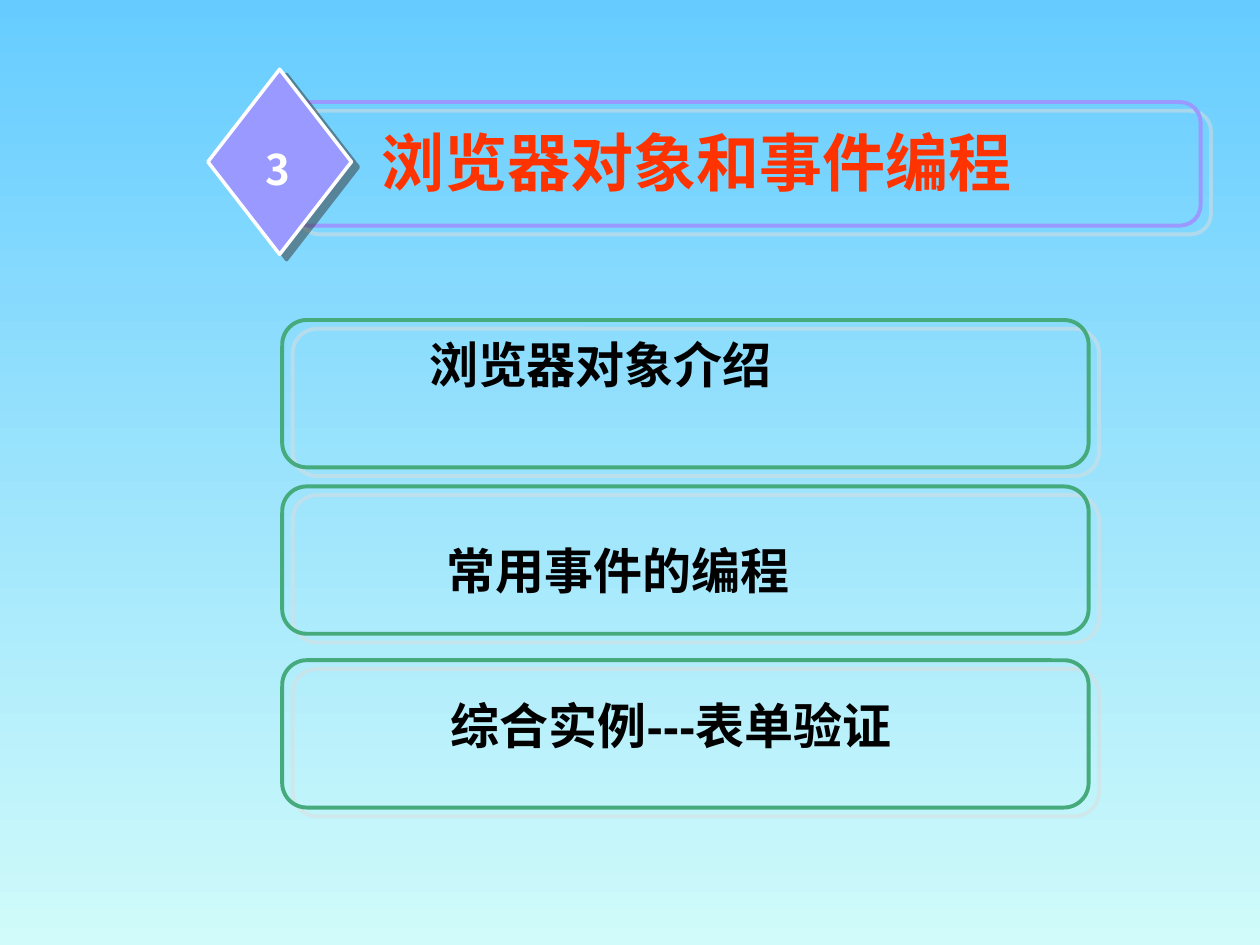
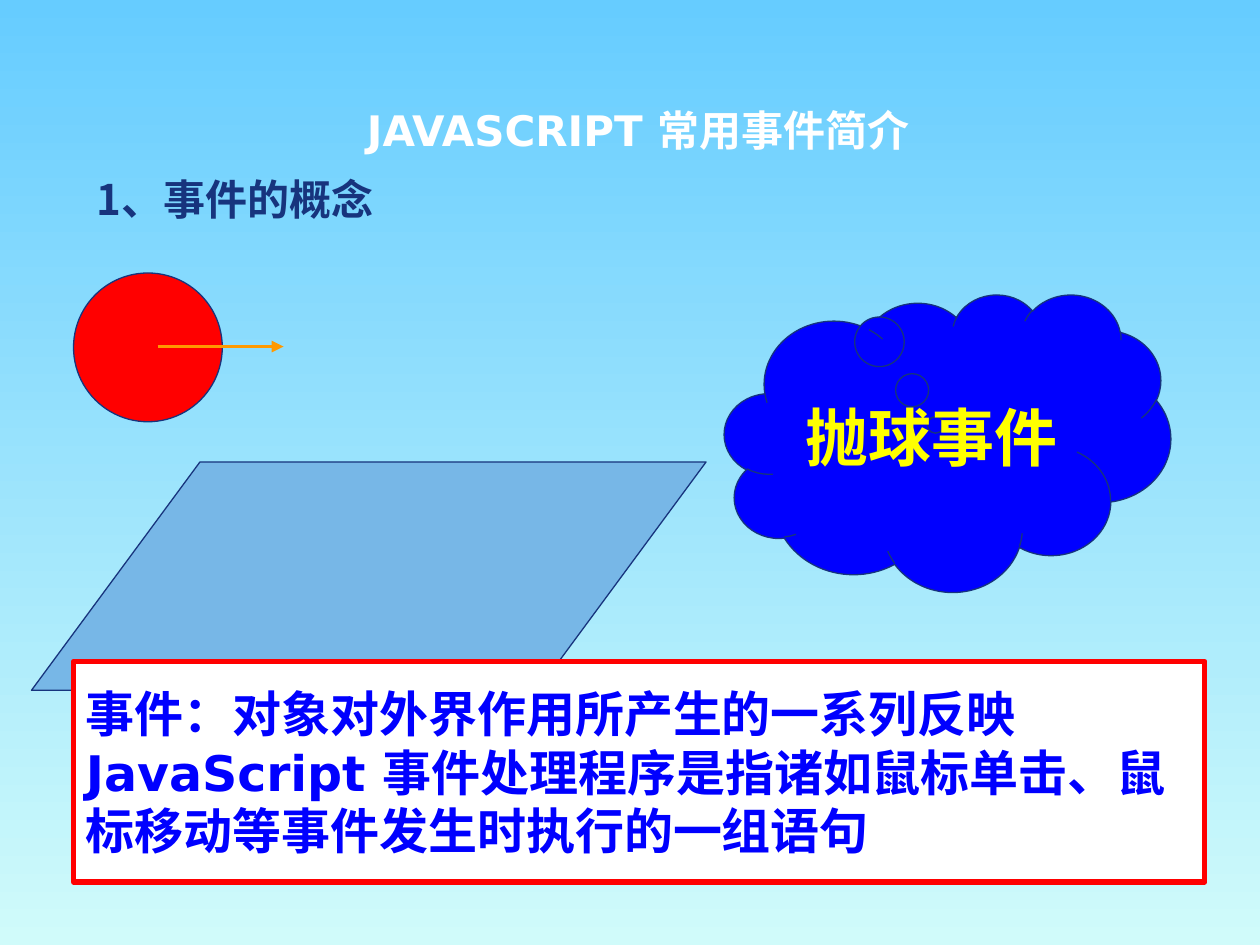
"""Builds two slides on browser objects and event programming."""
import lxml.etree
import pptx
import pptx.dml.color
import pptx.enum.shapes
import pptx.enum.text
import pptx.oxml.ns
import pptx.util

Pt = pptx.util.Pt
SHAPE = pptx.enum.shapes.MSO_SHAPE
ALIGN = pptx.enum.text.PP_ALIGN
ANCHOR = pptx.enum.text.MSO_ANCHOR
qn = pptx.oxml.ns.qn

COLOURS = {
    "sky": "66CCFF", "mist": "D0FBFA", "green": "45AB7D", "lilac": "9999FF",
    "shade": "DDDDDD", "dark": "333333", "black": "000000", "white": "FFFFFF",
    "orange_red": "FF3300", "navy": "17347D", "steel": "77B7E7", "red": "FF0000",
    "blue": "0000FF", "yellow": "FFFF00", "orange": "FF9900",
}
ITEM = {"name": "Arial", "size": Pt(28), "bold": True}
HEADING = {"name": "Noto Sans CJK SC", "size": Pt(36), "bold": True}
NUMBER = {**HEADING, "size": Pt(24)}
TITLE = {"name": "DejaVu Sans", "size": Pt(24), "bold": True}
CLOUD = {**TITLE, "size": Pt(36)}
DEFINITION = {**TITLE, "size": Pt(28)}
SOFT_SHADOW = ("shade", 7.8, 40)
HARD_SHADOW = ("dark", 5, 37)


def rgb(name):
    return pptx.dml.color.RGBColor.from_string(COLOURS[name])


def add_page(deck):
    page = deck.slides.add_slide(deck.slide_layouts[6])
    fill = page.background.fill
    fill.gradient()
    fill.gradient_angle = 270
    for stop, name, position in zip(fill.gradient_stops, ("sky", "mist"), (0, 1)):
        stop.color.rgb = rgb(name)
        stop.position = position
    return page


def add_shadow(shape, name, distance, degrees):
    effects = shape._element.spPr.find(qn("a:effectLst"))
    shadow = lxml.etree.SubElement(
        effects, qn("a:outerShdw"), blurRad="0", dist=str(Pt(distance)),
        dir=str(degrees * 60000), algn="ctr", rotWithShape="0")
    colour = lxml.etree.SubElement(shadow, qn("a:srgbClr"), val=COLOURS[name])
    lxml.etree.SubElement(colour, qn("a:alpha"), val="50000")


def add_figure(page, kind, box, fill, line, width, adjust=(), shadow=None):
    shape = page.shapes.add_shape(kind, *map(Pt, box))
    shape.shadow.inherit = False
    if fill:
        shape.fill.solid()
        shape.fill.fore_color.rgb = rgb(fill)
    else:
        shape.fill.background()
    shape.line.color.rgb = rgb(line)
    shape.line.width = Pt(width)
    for index, value in enumerate(adjust):
        shape.adjustments[index] = value
    if shadow:
        add_shadow(shape, *shadow)
    return shape


def write(shape, lines, font, colour, align=ALIGN.CENTER, anchor=ANCHOR.MIDDLE,
          wrap=True, spacing=None):
    frame = shape.text_frame
    frame.word_wrap = wrap
    frame.vertical_anchor = anchor
    for index, line in enumerate(lines):
        para = frame.add_paragraph() if index else frame.paragraphs[0]
        para.alignment = align
        para.line_spacing = spacing
        span = para.add_run()
        span.text = line
        for key, value in font.items():
            setattr(span.font, key, value)
        span.font.color.rgb = rgb(colour)
        lxml.etree.SubElement(span.font._element, qn("a:ea"), typeface=font["name"])


def add_text(page, box, text, font, colour, **options):
    write(page.shapes.add_textbox(*map(Pt, box)), [text], font, colour, **options)


def add_agenda_item(page, box, text, shift):
    left, top, width, height = box
    add_figure(page, SHAPE.ROUNDED_RECTANGLE, box, None, "green", 2.25, [0.167], SOFT_SHADOW)
    add_text(page, (left + shift[0], top + shift[1], 363.6, 41), text, ITEM, "black")


def add_chapter_banner(page, box, number, text):
    left, top, width, height = box
    add_figure(page, SHAPE.ROUNDED_RECTANGLE, (left + 46, top + 18.7, width - 46, 70.6),
               None, "lilac", 2.25, [0.167], SOFT_SHADOW)
    add_figure(page, SHAPE.DIAMOND, (left, top, 82, height), "lilac", "white", 2,
               shadow=HARD_SHADOW)
    add_text(page, (left + 73.4, top + 27.4, 411.8, 50.4), text, HEADING, "orange_red")
    add_text(page, (left + 25.9, top + 38.9, 28, 36), number, NUMBER, "white", wrap=False)


def add_ball_scene(page, box):
    left, top, width, height = box
    add_figure(page, SHAPE.PARALLELOGRAM, (left, top + 108, width, height - 108),
               "steel", "navy", 0.75, [0.738])
    add_figure(page, SHAPE.OVAL, (left + 24, top, 85, 85), "red", "navy", 0.75)


def add_throw_arrow(page, start, length):
    left, top = start
    arrow = page.shapes.add_connector(
        pptx.enum.shapes.MSO_CONNECTOR.STRAIGHT, *map(Pt, (left, top, left + length, top)))
    arrow.line.color.rgb = rgb("orange")
    arrow.line.width = Pt(2.25)
    lxml.etree.SubElement(arrow.line._get_or_add_ln(), qn("a:tailEnd"), type="triangle")
    lxml.etree.SubElement(arrow._element.spPr, qn("a:effectLst"))


def build_agenda(deck):
    page = add_page(deck)
    items = [
        (182.9, "浏览器对象介绍", (0, 4.3)),
        (278, "常用事件的编程", (10, 27.3)),
        (377.3, "综合实例---表单验证", (40.3, 16.5)),
    ]
    for top, text, shift in items:
        add_agenda_item(page, (161.3, top, 460.8, 84.2), text, shift)
    add_chapter_banner(page, (118.8, 39.6, 567.3, 105.8), "3", "浏览器对象和事件编程")


def build_event_concept(deck):
    page = add_page(deck)
    add_text(page, (57.6, 51.8, 614.2, 44.6), "JAVASCRIPT 常用事件简介", TITLE, "white")
    add_text(page, (48.2, 95.8, 609.1, 77.8), "1、事件的概念", NUMBER, "navy",
             align=ALIGN.LEFT, anchor=ANCHOR.TOP)
    add_ball_scene(page, (18, 156, 385.5, 238.5))
    cloud = add_figure(page, SHAPE.CLOUD_CALLOUT, (414, 168, 255, 170),
                       "blue", "navy", 0.75, [-0.027, -0.06])
    write(cloud, ["抛球事件"], CLOUD, "yellow")
    definition = add_figure(page, SHAPE.RECTANGLE, (42, 378, 646.5, 126), "white", "red", 3)
    write(definition, [
        "事件：对象对外界作用所产生的一系列反映",
        "JavaScript 事件处理程序是指诸如鼠标单击、鼠标移动等事件发生时执行的一组语句",
    ], DEFINITION, "blue", align=ALIGN.LEFT, spacing=Pt(33.4))
    add_throw_arrow(page, (90, 198), 72)


def main():
    deck = pptx.Presentation()
    deck.slide_width, deck.slide_height = Pt(720), Pt(540)
    build_agenda(deck)
    build_event_concept(deck)
    deck.save("out.pptx")


if __name__ == "__main__":
    main()
